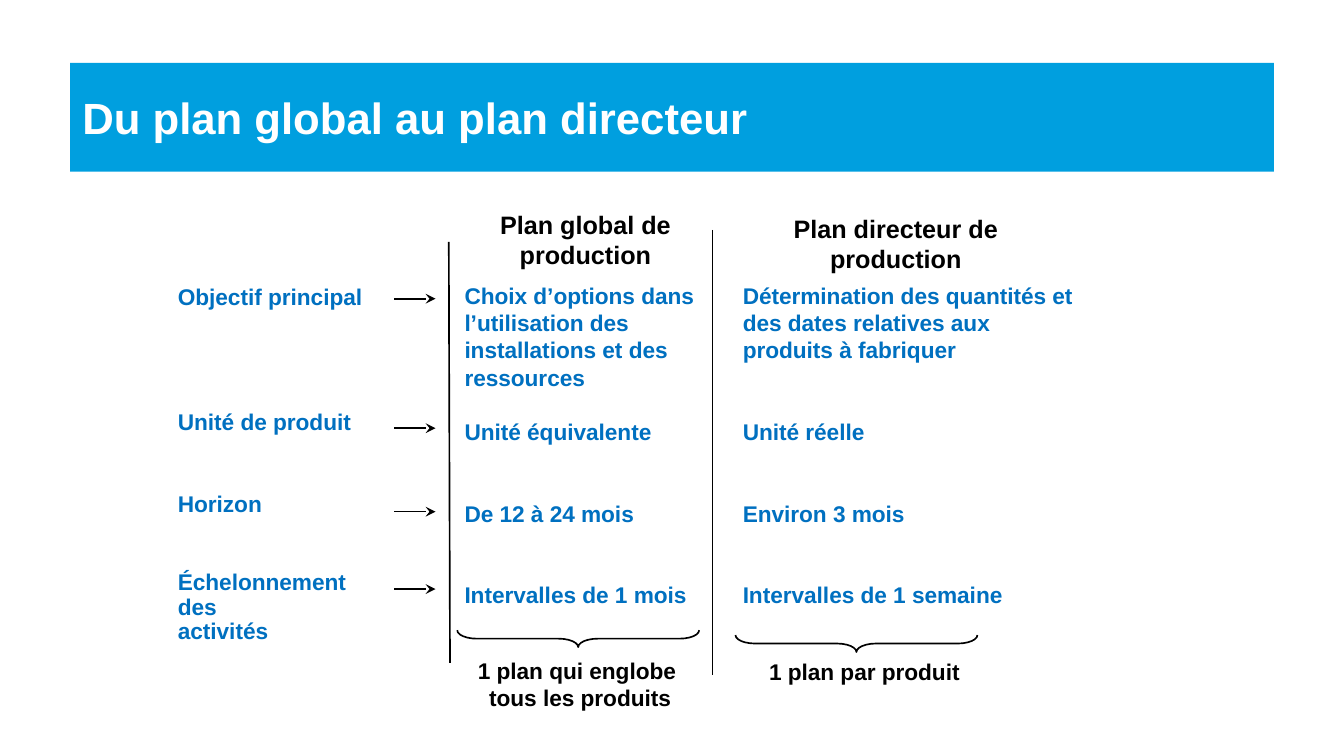
"""Build the slide comparing the global plan with the master production schedule."""
from lxml import etree
from pptx import Presentation
from pptx import util as u
from pptx.dml.color import RGBColor
from pptx.enum import shapes, text
from pptx.oxml.ns import qn

BLUE, BANNER, BLACK, WHITE = "0070C0", "009FDF", "000000", "FFFFFF"
CENTER, LEFT = text.PP_ALIGN.CENTER, text.PP_ALIGN.LEFT


def rgb(value):
    return RGBColor.from_string(value)


def box(*lengths):
    return [u.Inches(v) for v in lengths]


def apply(obj, values):
    for name, value in values.items():
        setattr(obj, name, value)


class Deck:
    """Holds the style and the current slide."""

    font = "Arial"
    width = u.Pt(1)
    tight = (0.08, 0.04)
    loose = (0.1, 0.05)

    def __init__(self, width, height):
        self.prs = Presentation()
        apply(self.prs, {"slide_width": u.Inches(width), "slide_height": u.Inches(height)})
        self.s = self.prs.slides.add_slide(self.prs.slide_layouts[5])

    def set_text(self, sp, rows, size, color, align=LEFT, insets=tight,
                 anchor=text.MSO_ANCHOR.TOP):
        side, top = box(*insets)
        tf = sp.text_frame
        apply(tf, {"word_wrap": True, "auto_size": text.MSO_AUTO_SIZE.NONE,
                   "vertical_anchor": anchor, "margin_left": side, "margin_right": side,
                   "margin_top": top, "margin_bottom": top})
        for i, (words, before, spacing) in enumerate(rows):
            p = tf.add_paragraph() if i else tf.paragraphs[0]
            p.text = words
            apply(p, {"alignment": align, "space_before": u.Pt(before),
                      "line_spacing": spacing})
            for r in p.runs:
                apply(r.font, {"name": self.font, "size": u.Pt(size), "bold": True})
                r.font.color.rgb = rgb(color)

    def fill(self, sp, color):
        sp.fill.solid()
        sp.fill.fore_color.rgb = rgb(color)

    def title(self, words, at):
        sp = self.s.shapes.title
        apply(sp, dict(zip(("left", "top", "width", "height"), box(*at))))
        self.fill(sp, BANNER)
        self.set_text(sp, [(words, 0, 1.0)], 26, WHITE, insets=self.loose,
                      anchor=text.MSO_ANCHOR.MIDDLE)

    def text(self, at, rows, size=13.5, color=BLUE, **style):
        self.set_text(self.s.shapes.add_textbox(*box(*at)), rows, size, color, **style)

    def panel(self, at, rows):
        sp = self.s.shapes.add_shape(shapes.MSO_SHAPE.RECTANGLE, *box(*at))
        sp.shadow.inherit = False
        self.fill(sp, WHITE)
        sp.line.fill.background()
        self.set_text(sp, rows, 13.5, BLUE)

    def stroke(self, sp):
        sp.line.color.rgb = rgb(BLACK)
        sp.line.width = self.width

    def line(self, start, end, arrow=False):
        sp = self.s.shapes.add_connector(
            shapes.MSO_CONNECTOR.STRAIGHT, *box(*start, *end))
        self.stroke(sp)
        if arrow:
            ln = sp._element.spPr.find(qn("a:ln"))
            etree.SubElement(ln, qn("a:tailEnd"), type="stealth")
        etree.SubElement(sp._element.spPr, qn("a:effectLst"))

    def brace(self, at):
        sp = self.s.shapes.add_shape(shapes.MSO_SHAPE.LEFT_BRACE, *box(*at))
        sp.shadow.inherit = False
        sp.rotation = 270
        sp.adjustments[0] = 1.155
        sp.fill.background()
        self.stroke(sp)


def main():
    deck = Deck(11.11, 6.25)
    deck.title("Du plan global au plan directeur", (0.58, 0.52, 9.95, 0.9))

    gap = 32.4
    deck.panel((1.39, 2.3, 1.81, 3.09), [
        ("Objectif principal", 0, 1.0),
        ("Unité de produit", 58.2, 1.0),
        ("Horizon", gap, 1.0),
        ("Échelonnement des", gap, 0.9),
        ("activités", 0, 0.9),
    ])
    deck.text((3.76, 2.29, 2.19, 2.8), [
        ("Choix d’options dans l’utilisation des installations et des ressources", 0, 1.0),
        ("Unité équivalente", gap / 2, 1.0),
        ("De 12 à 24 mois", gap, 1.0),
        ("Intervalles de 1 mois", gap, 1.0),
    ])
    deck.text((6.06, 2.29, 3.21, 2.8), [
        ("Détermination des quantités et des dates relatives aux", 0, 1.0),
        ("produits à fabriquer", 0, 1.0),
        ("Unité réelle", gap, 1.0),
        ("Environ 3 mois", gap, 1.0),
        ("Intervalles de 1 semaine", gap, 1.0),
    ])

    for at, heading in (((3.83, 1.69, 2.02, 0.58), "Plan global de production"),
                        ((6.06, 1.72, 2.69, 0.58), "Plan directeur de production")):
        deck.text(at, [(heading, 0, 1.0)], size=15, color=BLACK, align=CENTER)

    for at, caption in (((3.7, 5.38, 2.19, 0.56), "1 plan qui englobe \vtous les produits"),
                        ((6.05, 5.39, 2.19, 0.33), "1 plan par produit")):
        deck.text(at, [(caption, 0, 1.0)], color=BLACK, align=CENTER, insets=deck.loose)

    deck.line((3.71, 2), (3.72, 5.48))
    deck.line((5.89, 1.9), (5.89, 5.58))
    for y in (2.47, 3.54, 4.23, 4.87):
        deck.line((3.26, y), (3.6, y), arrow=True)
    for left, top in ((4.71, 4.28), (7.01, 4.32)):
        deck.brace((left, top, 0.14, 2))

    deck.prs.save("out.pptx")


if __name__ == "__main__":
    main()
